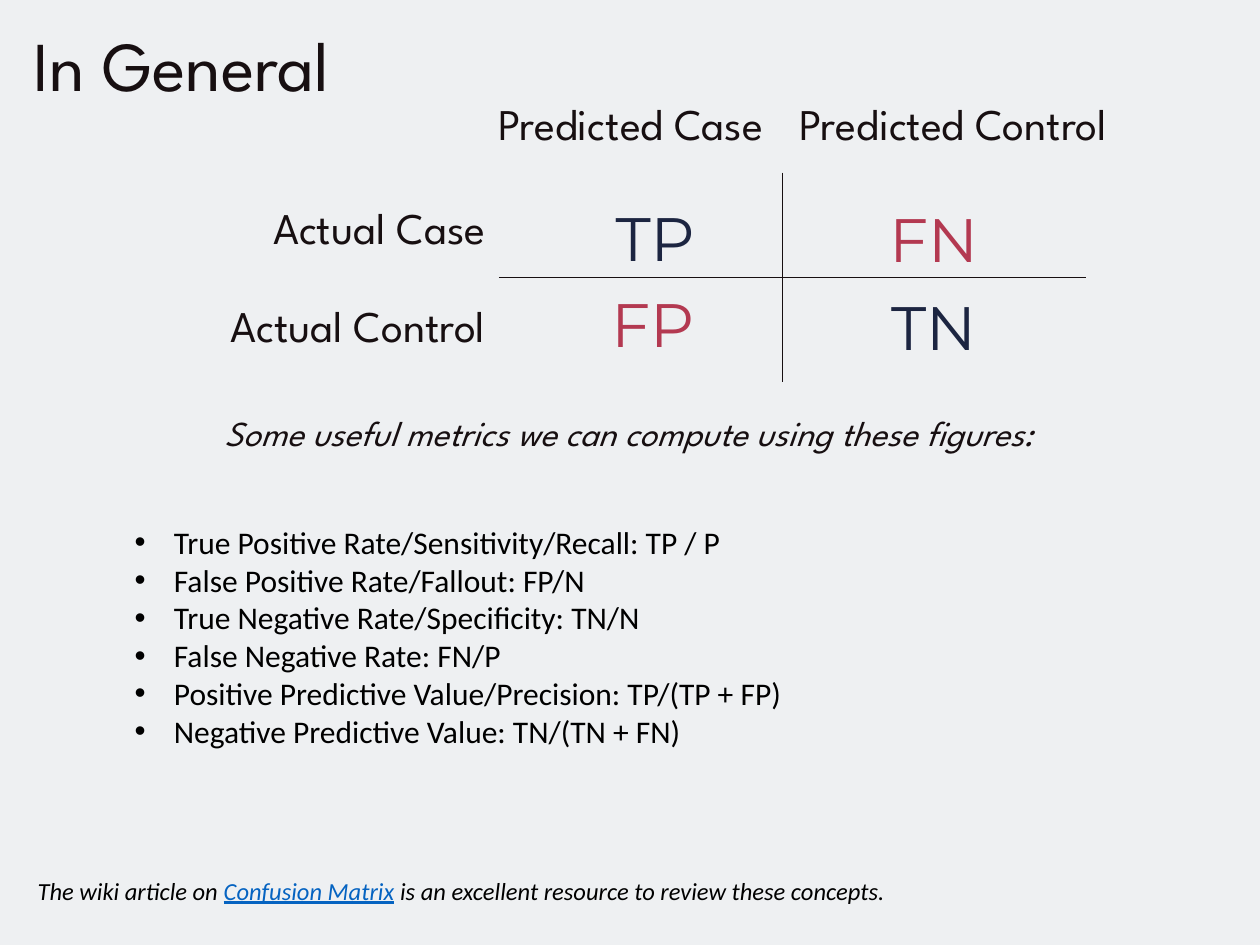
from lxml.etree import SubElement
from pptx import Presentation
from pptx.dml.color import RGBColor
from pptx.enum.shapes import MSO_CONNECTOR as Link
from pptx.enum.text import MSO_ANCHOR as Anchor, MSO_AUTO_SIZE as Fit, PP_ALIGN as Align
from pptx.oxml.ns import qn
from pptx.util import Pt

HUES = {"back": "EEF0F2", "ink": "170F11", "true": "1C2541",
        "false": "B33951", "black": "000000", "link": "0563C1"}

HEAD = {"name": "League Spartan", "size": 25, "hue": "ink"}
CELL = {"name": "Montserrat", "size": 35}
BODY = {"name": "Calibri", "size": 18, "hue": "black"}
NOTE = BODY | {"size": 14, "italic": True}

TITLE = "In General"
COLS = [("Predicted Case", 273.6, 173.5), ("Predicted Control", 447.1, 195.1)]
ROWS = [("Actual Case", 110.9), ("Actual Control", 167)]
CELLS = [("TP", "true", 313.2, 110.9), ("FN", "false", 472.3, 111.6),
         ("FP", "false", 311.8, 159.8), ("TN", "true", 472.3, 162)]
AXES = [(447.1, 98.6, 447.1, 218.2), (285.1, 158.4, 620.6, 158.4)]
LEAD = "Some useful metrics we can compute using these figures:"
RATES = [
    "True Positive Rate/Sensitivity/Recall: TP / P",
    "False Positive Rate/Fallout: FP/N",
    "True Negative Rate/Specificity: TN/N",
    "False Negative Rate: FN/P",
    "Positive Predictive Value/Precision: TP/(TP + FP)",
    "Negative Predictive Value: TN/(TN + FN)",
]
SOURCE = [("The wiki article on ", {}),
          ("Confusion Matrix", {"hue": "link", "underline": True}),
          (" is an excellent resource to review these concepts.", {})]


def color(key):
    return RGBColor.from_string(HUES[key])


def style(font, look):
    for key, value in look.items():
        if key == "hue":
            font.color.rgb = color(value)
        else:
            setattr(font, key, Pt(value) if key == "size" else value)


def fill(shape, paras, look, align=Align.LEFT):
    """Write paragraphs, each a list of (text, extra look) runs."""
    frame = shape.text_frame
    frame.word_wrap = True
    frame.auto_size = Fit.NONE
    frame.vertical_anchor = Anchor.TOP
    for i, runs in enumerate(paras):
        para = frame.add_paragraph() if i else frame.paragraphs[0]
        para.alignment = align
        for text, extra in runs:
            run = para.add_run()
            run.text = text
            style(run.font, look | extra)
    return frame


def place(slide, box, paras, look, align=Align.LEFT):
    return fill(slide.shapes.add_textbox(*map(Pt, box)), paras, look, align)


def bullet(para):
    props = para._p.get_or_add_pPr()
    props.set("marL", str(Pt(22.5)))
    props.set("indent", str(Pt(-22.5)))
    SubElement(props, qn("a:buFont"), typeface="Arial")
    SubElement(props, qn("a:buChar"), char="•")


def main():
    deck = Presentation()
    deck.slide_width, deck.slide_height = Pt(720), Pt(540)
    slide = deck.slides.add_slide(deck.slide_layouts[5])
    slide.background.fill.solid()
    slide.background.fill.fore_color.rgb = color("back")

    title = slide.shapes.title
    title.left, title.top, title.width, title.height = map(Pt, (12.2, 8.6, 190.8, 55.4))
    fill(title, [[(TITLE, {})]], HEAD | {"size": 40})

    for text, top in ROWS:
        place(slide, (77.8, top, 206.6, 37.4), [[(text, {})]], HEAD, Align.RIGHT)
    for text, left, width in COLS:
        place(slide, (left, 51.8, width, 67.7), [[(text, {})]], HEAD, Align.CENTER)
    for ends in AXES:
        axis = slide.shapes.add_connector(Link.STRAIGHT, *map(Pt, ends))
        axis.line.color.rgb = color("ink")
        axis.line.width = Pt(0.75)
        SubElement(axis._element.spPr, qn("a:effectLst"))
    for text, hue, left, top in CELLS:
        place(slide, (left, top, 122.4, 49.7), [[(text, {"hue": hue})]], CELL, Align.CENTER)

    place(slide, (95, 231.8, 529.2, 31.7), [[(LEAD, {})]],
          HEAD | {"size": 20, "italic": True}, Align.CENTER)
    rates = place(slide, (69.8, 295.2, 618.5, 138.2), [[(text, {})] for text in RATES], BODY)
    for para in rates.paragraphs:
        bullet(para)
    place(slide, (14.4, 496.8, 610.6, 24.5), [SOURCE], NOTE)
    deck.save("out.pptx")


if __name__ == "__main__":
    main()
